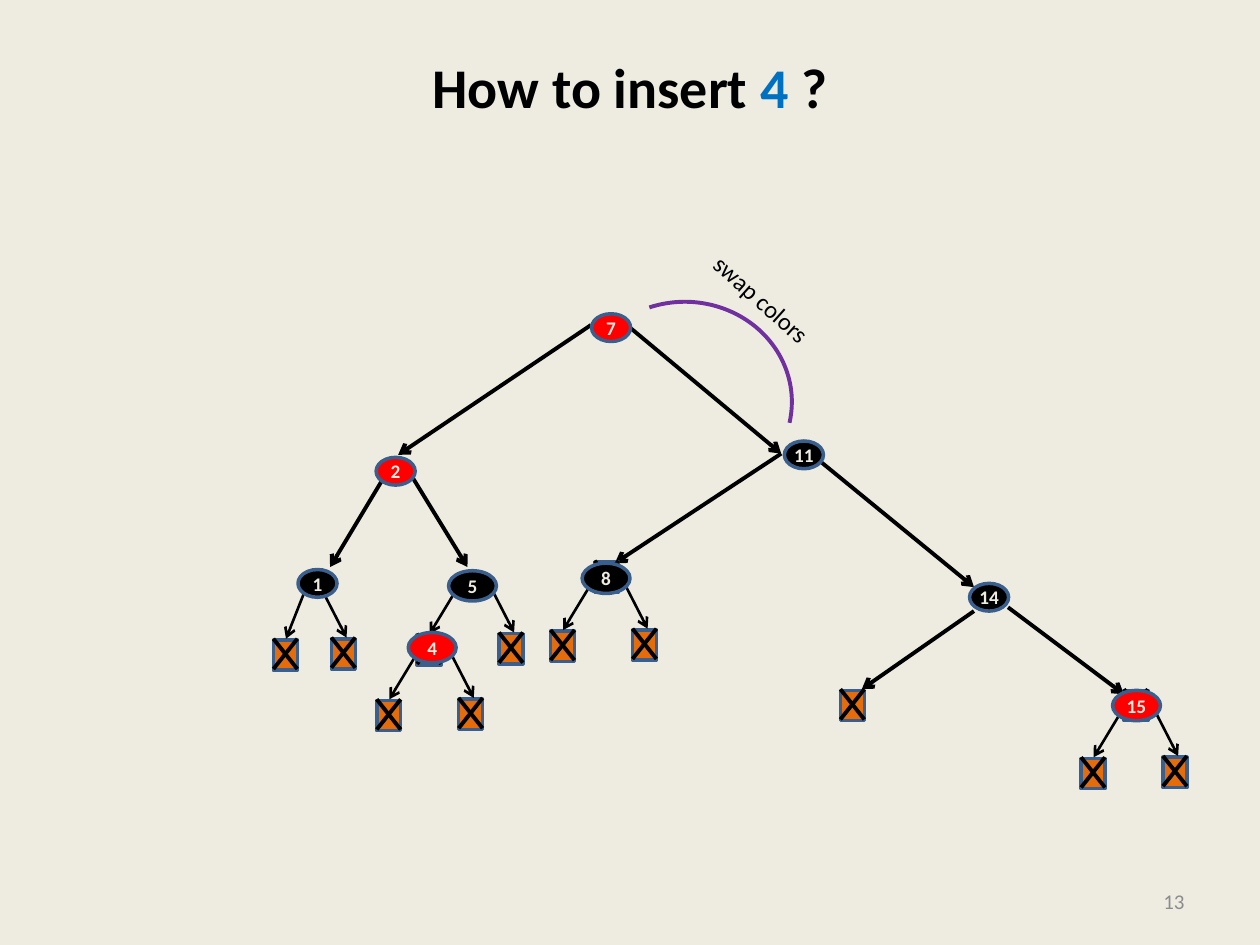
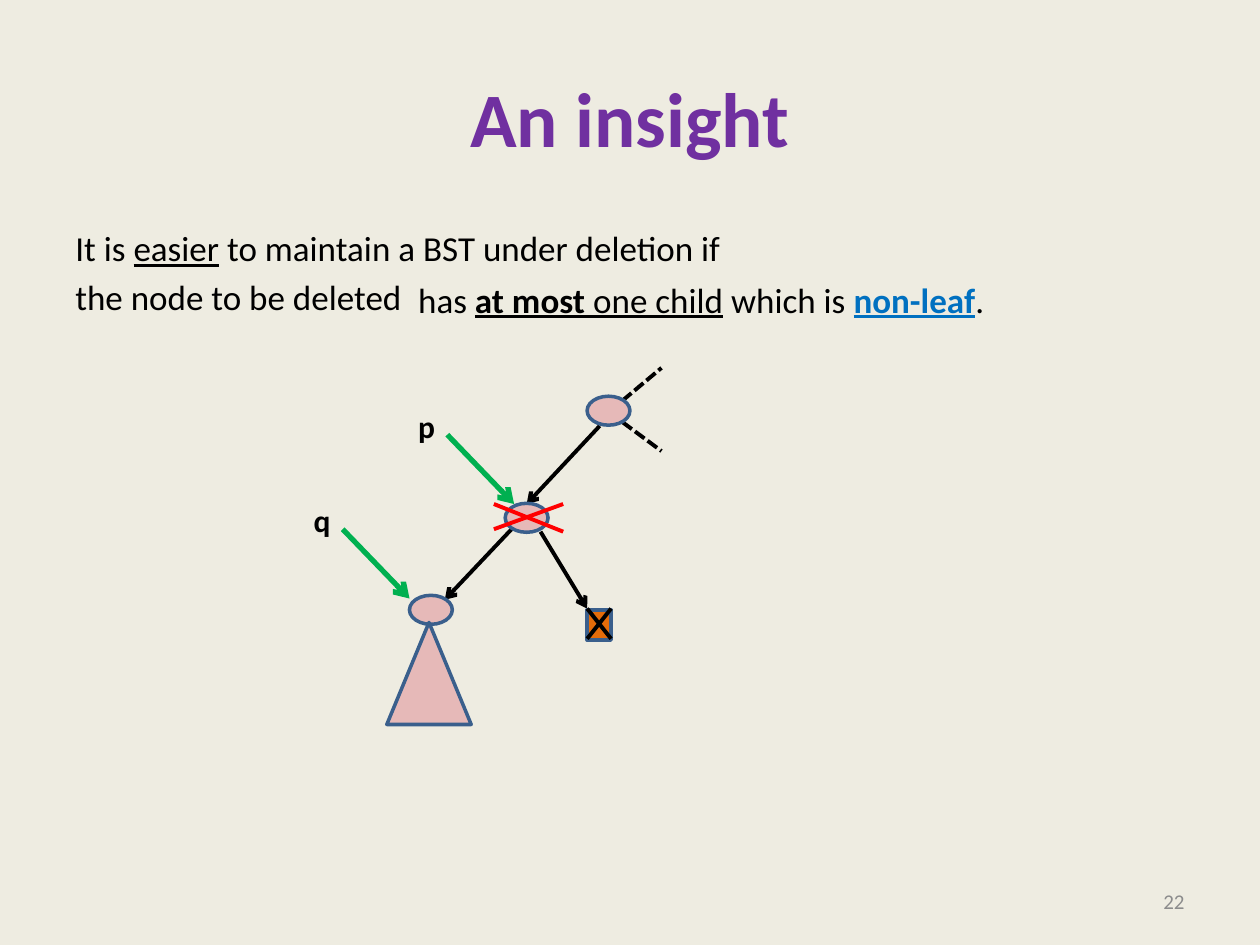
from lxml import etree
from pptx import Presentation
from pptx.dml.color import RGBColor
from pptx.enum.dml import MSO_LINE
from pptx.enum.shapes import MSO_CONNECTOR, MSO_SHAPE
from pptx.enum.text import MSO_ANCHOR, MSO_AUTO_SIZE, PP_ALIGN
from pptx.oxml.ns import qn
from pptx.util import Inches, Pt

STRAIGHT = MSO_CONNECTOR.STRAIGHT
OVAL, RECTANGLE = MSO_SHAPE.OVAL, MSO_SHAPE.RECTANGLE
TRIANGLE, ARC = MSO_SHAPE.ISOSCELES_TRIANGLE, MSO_SHAPE.ARC
TOP, MIDDLE = MSO_ANCHOR.TOP, MSO_ANCHOR.MIDDLE
LEFT, CENTER, RIGHT = PP_ALIGN.LEFT, PP_ALIGN.CENTER, PP_ALIGN.RIGHT
DASH = MSO_LINE.SQUARE_DOT

# The slide is a grid of 100 columns by 75 rows of square cells
CELL = Inches(0.1)
COLUMNS, ROWS = 100, 75

FONT = "Calibri"
COLORS = {
    "background": "EEECE1",
    "black": "000000",
    "red": "FF0000",
    "outline": "3A5F8C",
    "leaf": "E46C0A",
    "pink": "E6B9B8",
    "blue": "0070C0",
    "purple": "7030A0",
    "green": "00B050",
    "gray": "8C8C8C",
}

LEAF_WIDTH, LEAF_HEIGHT = 1.9, 2.4
SMALL_NODE, WIDE_NODE, PINK_NODE = (3.1, 2.2), (3.8, 2.4), (3.4, 2.3)

# Arrows to the two leaves, as offsets from the centre of their parent
WIDE_PAIR = ((-1.4, 0.8, -3.4, 4.1), (1.4, 0.3, 3.3, 4))
NARROW_PAIR = ((-1, 0.6, -2.5, 4.4), (0.4, 0.6, 2.3, 4.3))


def cells(*lengths):
    return [round(length * CELL) for length in lengths]


def color(name):
    return RGBColor.from_string(COLORS[name])


def style_font(font, size, color_name, bold=False, underline=False):
    font.name = FONT
    font.size = Pt(size)
    font.color.rgb = color(color_name)
    font.bold = bold
    font.underline = underline


def add_shape(slide, kind, box, fill, line="outline", weight=2):
    shape = slide.shapes.add_shape(kind, *cells(*box))
    shape.shadow.inherit = False
    if fill:
        shape.fill.solid()
        shape.fill.fore_color.rgb = color(fill)
    else:
        shape.fill.background()
    shape.line.color.rgb = color(line)
    shape.line.width = Pt(weight)
    return shape


def add_line(slide, ends, line="black", weight=2.25, arrow=False, dash=None):
    connector = slide.shapes.add_connector(STRAIGHT, *cells(*ends))
    connector.line.color.rgb = color(line)
    connector.line.width = Pt(weight)
    if dash:
        connector.line.dash_style = dash
    if arrow:
        outline = connector.line._get_or_add_ln()
        etree.SubElement(outline, qn("a:tailEnd"), type="arrow")
    etree.SubElement(connector._element.spPr, qn("a:effectLst"))


def add_text(slide, box, paragraphs, size, align=LEFT, anchor=TOP, wrap=True):
    """Each paragraph is a list of runs: (text, colour, bold, underline)."""
    shape = slide.shapes.add_textbox(*cells(*box))
    frame = shape.text_frame
    frame.word_wrap = wrap
    frame.auto_size = MSO_AUTO_SIZE.NONE if wrap else MSO_AUTO_SIZE.SHAPE_TO_FIT_TEXT
    frame.vertical_anchor = anchor
    for index, runs in enumerate(paragraphs):
        paragraph = frame.paragraphs[0] if index == 0 else frame.add_paragraph()
        paragraph.alignment = align
        if index:
            paragraph.space_before = Pt(size * 0.2)
        for text, *style in runs:
            run = paragraph.add_run()
            run.text = text
            style_font(run.font, size, *style)
    return shape


def add_node(slide, center, size, fill, key=None):
    x, y = center
    width, height = size
    node = add_shape(slide, OVAL, (x - width / 2, y - height / 2, width, height), fill)
    if key:
        frame = node.text_frame
        frame.word_wrap = False
        frame.vertical_anchor = MIDDLE
        frame.margin_left = frame.margin_right = 0
        frame.margin_top = frame.margin_bottom = 0
        paragraph = frame.paragraphs[0]
        paragraph.text = key
        paragraph.alignment = CENTER
        style_font(paragraph.font, 11, "background", True)


def add_leaf(slide, left, top):
    """A null leaf: a square crossed by both diagonals."""
    add_shape(slide, RECTANGLE, (left, top, LEAF_WIDTH, LEAF_HEIGHT), "leaf")
    right, cross_top = left + LEAF_WIDTH, top - 0.1
    bottom = cross_top + LEAF_HEIGHT
    add_line(slide, (right, cross_top, left, bottom))
    add_line(slide, (left, cross_top, right, bottom))


def add_leaf_pair(slide, center, pair=WIDE_PAIR):
    x, y = center
    for (start_x, start_y, end_x, end_y), shift in zip(pair, (-1, -1.2)):
        add_leaf(slide, x + end_x + shift, y + end_y + 0.1)
        add_line(slide, (x + start_x, y + start_y, x + end_x, y + end_y),
                 weight=1.5, arrow=True)


def add_base_slide(presentation, title_runs, title_size, number, title_lift=0):
    """Background, centred title and slide number; the lift raises the title."""
    slide = presentation.slides.add_slide(presentation.slide_layouts[6])
    slide.background.fill.solid()
    slide.background.fill.fore_color.rgb = color("background")
    add_text(slide, (0.05 * COLUMNS, 0.04 * ROWS - title_lift, 0.9 * COLUMNS, 12.5),
             [title_runs], title_size, CENTER, MIDDLE)
    add_text(slide, (71.7, 69.5, 23.3, 4), [[(number, "gray")]], 12, RIGHT, MIDDLE)
    return slide


def build_insertion(presentation):
    slide = add_base_slide(
        presentation,
        [("How to insert ", "black", True), ("4 ", "blue", True), ("?", "black", True)],
        32, "13", title_lift=2.4)

    # Edges between the inner nodes
    for edge in ((50, 26, 62, 36), (46.9, 25.8, 31.6, 36.1),
                 (30.4, 38, 26.2, 45), (32.5, 37.5, 37.1, 45),
                 (62, 36, 48.8, 44.7), (65.2, 36.7, 77.3, 46.6),
                 (77.3, 48.5, 68.4, 54.7), (80, 48.2, 89.2, 55.1)):
        add_line(slide, edge, arrow=True)

    # Leaves, some of them later covered by a node
    for left, top in ((47.2, 44.6), (89.2, 54.8), (66.7, 54.8)):
        add_leaf(slide, left, top)
    for center in ((48.1, 45.9), (37.5, 46.2), (34.3, 51.4), (90.2, 56)):
        add_leaf_pair(slide, center)
    add_leaf_pair(slide, (25.2, 46.3), NARROW_PAIR)

    # Nodes
    for key, center, size, fill in (
            ("7", (48.5, 26), SMALL_NODE, "red"),
            ("2", (31.4, 37.4), SMALL_NODE, "red"),
            ("11", (63.8, 36.1), SMALL_NODE, "black"),
            ("1", (25.2, 46.3), SMALL_NODE, "black"),
            ("5", (37.5, 46.5), WIDE_NODE, "black"),
            ("8", (48.1, 45.9), WIDE_NODE, "black"),
            ("14", (78.5, 47.4), SMALL_NODE, "black"),
            ("4", (34.3, 51.4), WIDE_NODE, "red"),
            ("15", (90.2, 56), WIDE_NODE, "red")):
        add_node(slide, center, size, fill, key)

    # Colour swap between 7 and 11
    arc = add_shape(slide, ARC, (46.4, 23.4, 15.9, 17), None, "purple", 2.25)
    arc.rotation = 270
    arc.adjustments[0], arc.adjustments[1] = 203.68, 60.76
    label = add_text(slide, (54.8, 22.1, 11.3, 3.4), [[("swap colors", "black")]],
                     14, wrap=False)
    label.rotation = 41.7


def build_insight(presentation):
    slide = add_base_slide(presentation, [("An insight", "purple", True)], 44, "22")

    # Statement
    add_text(slide, (5, 17.5, 90, 49.5), [
        [("It is ", "black"), ("easier", "black", False, True),
         (" to maintain a BST under deletion if", "black")],
        [("the node to be deleted", "black")]], 20)
    add_text(slide, (32.2, 21.6, 47.9, 4.4), [
        [("has ", "black"), ("at most ", "black", True, True),
         ("one child", "black", False, True), (" which is ", "black"),
         ("non-leaf", "blue", True, True), (".", "black")]], 20, wrap=False)

    # Pointers p and q
    for name, x, y in (("p", 35.5, 34.5), ("q", 27.2, 42)):
        add_line(slide, (x, y, x + 5.3, y + 5.5), "green", 3, arrow=True)
        add_text(slide, (x - 3.3, y - 2.7, 3.4, 4), [[(name, "black", True)]],
                 18, wrap=False)

    # Tree around the deleted node
    for edge in ((47.6, 33.8, 41.8, 40), (40.6, 42, 35.3, 47.6),
                 (42.9, 42.2, 46.6, 48.3)):
        add_line(slide, edge, arrow=True)
    for edge in ((49.4, 31.8, 52.5, 29.2), (49.4, 33.5, 52.5, 35.8)):
        add_line(slide, edge, dash=DASH)
    add_leaf(slide, 46.6, 48.4)
    for center in ((48.3, 32.6), (41.8, 41.1), (34.2, 48.4)):
        add_node(slide, center, PINK_NODE, "pink")
    add_shape(slide, TRIANGLE, (30.7, 49.4, 6.7, 8.1), "pink")

    # Deletion mark
    for start_y, end_y in ((42, 40), (40, 42.2)):
        add_line(slide, (39.2, start_y, 44.7, end_y), "red")


def main():
    presentation = Presentation()
    presentation.slide_width, presentation.slide_height = cells(COLUMNS, ROWS)
    build_insertion(presentation)
    build_insight(presentation)
    presentation.save("out.pptx")


if __name__ == "__main__":
    main()
